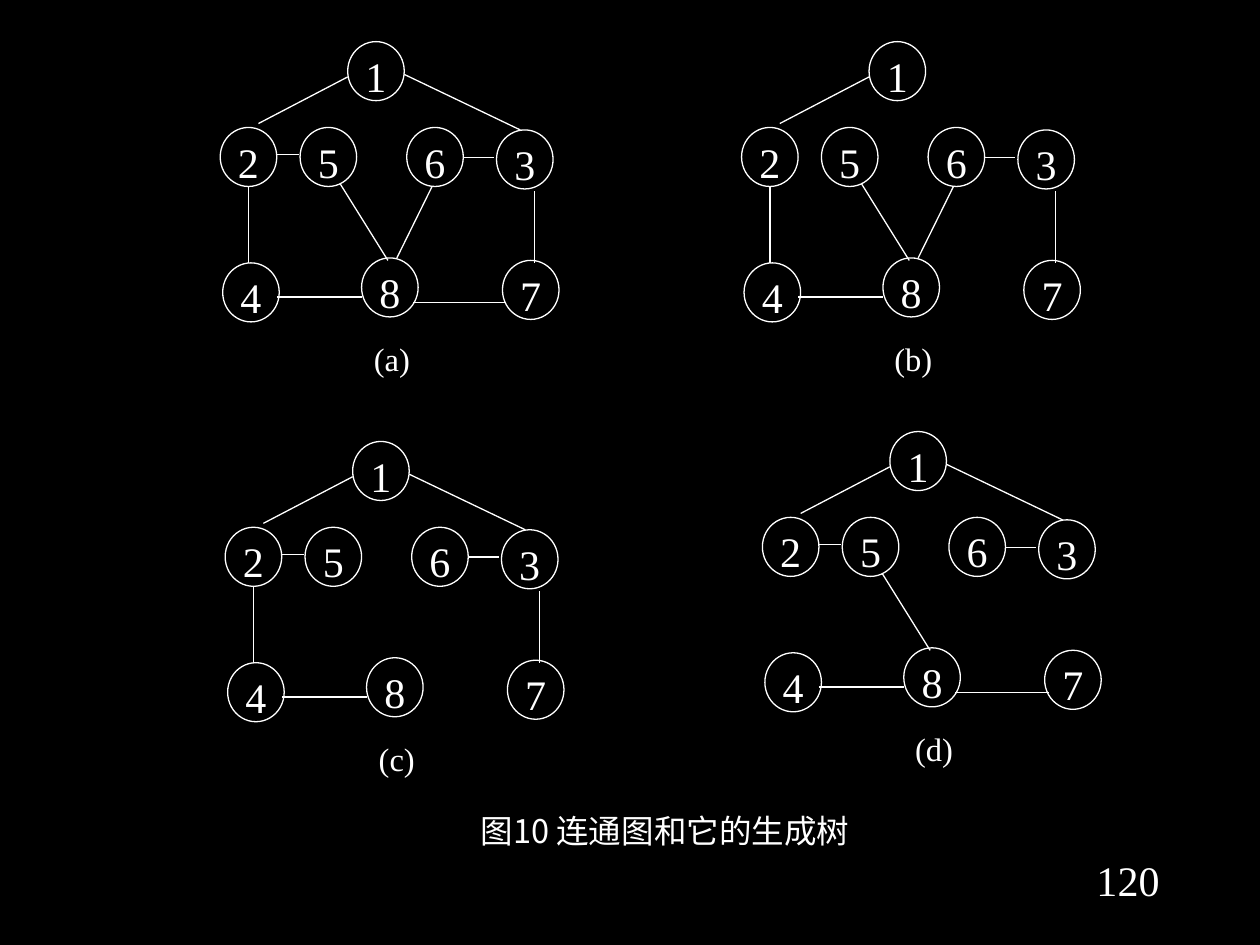
from lxml import etree
from pptx import Presentation
from pptx.dml.color import RGBColor
from pptx.enum.shapes import MSO_CONNECTOR, MSO_SHAPE
from pptx.enum.text import MSO_ANCHOR, PP_ALIGN
from pptx.oxml.ns import qn
from pptx.util import Cm, Pt

OVAL = MSO_SHAPE.OVAL
STRAIGHT = MSO_CONNECTOR.STRAIGHT
TOP = MSO_ANCHOR.TOP
CENTER = PP_ALIGN.CENTER

BLACK = "000000"
WHITE = "FFFFFF"
SERIF = "Times New Roman"
SANS = "Noto Sans CJK SC"

NODE_W, NODE_H = 1.14, 1.19
NODES = {
    1: (7.01, 0.84),
    2: (4.44, 2.57),
    5: (6.05, 2.57),
    6: (8.2, 2.57),
    3: (10.01, 2.62),
    4: (4.49, 5.3),
    8: (7.29, 5.2),
    7: (10.13, 5.25),
}
EDGES = {
    (1, 2): (7.01, 1.55, 5.21, 2.49),
    (1, 3): (8.15, 1.5, 10.49, 2.62),
    (2, 5): (5.58, 3.12, 6.02, 3.12),
    (3, 6): (9.34, 3.17, 9.96, 3.17),
    (5, 8): (6.86, 3.71, 7.82, 5.25),
    (6, 8): (8.71, 3.76, 8, 5.2),
    (2, 4): (5.01, 3.76, 5.01, 5.3),
    (4, 8): (5.58, 5.99, 7.29, 5.99),
    (7, 8): (8.33, 6.1, 10.21, 6.1),
    (3, 7): (10.77, 3.86, 10.77, 5.3),
}
GRAPHS = [
    ("(a)", 0, 0, list(EDGES)),
    ("(b)", 10.51, 0, [(1, 2), (3, 6), (5, 8), (6, 8), (2, 4), (4, 8), (3, 7)]),
    ("(c)", 0.1, 8.06, [(1, 2), (1, 3), (2, 5), (3, 6), (2, 4), (4, 8), (3, 7)]),
    ("(d)", 10.93, 7.86, [(1, 2), (1, 3), (2, 5), (3, 6), (5, 8), (4, 8), (7, 8)]),
]


def color(value):
    return RGBColor.from_string(value)


def write(shape, text, size, font=SERIF, spacing=None, margins=(0, 0)):
    tf = shape.text_frame
    tf.word_wrap = True
    tf.vertical_anchor = TOP
    tf.margin_left = tf.margin_right = Cm(margins[0])
    tf.margin_top = tf.margin_bottom = Cm(margins[1])
    p = tf.paragraphs[0]
    p.text = text
    p.alignment = CENTER
    if spacing:
        p.line_spacing = spacing
    p.font.size = Pt(size)
    p.font.name = font
    p.font.color.rgb = color(WHITE)
    latin = p._p.pPr.find(qn("a:defRPr")).find(qn("a:latin"))
    east_asian = etree.Element(qn("a:ea"), typeface=font)
    latin.addnext(east_asian)


def add_text(s, x, y, w, h, text, size, **style):
    box = s.shapes.add_textbox(Cm(x), Cm(y), Cm(w), Cm(h))
    write(box, text, size, **style)


def add_node(s, x, y, number):
    node = s.shapes.add_shape(OVAL, Cm(x), Cm(y), Cm(NODE_W), Cm(NODE_H))
    node.shadow.inherit = False
    node.fill.background()
    node.line.color.rgb = color(WHITE)
    node.line.width = Pt(0.75)
    write(node, str(number), 24)


def add_edge(s, x1, y1, x2, y2):
    edge = s.shapes.add_connector(STRAIGHT, Cm(x1), Cm(y1), Cm(x2), Cm(y2))
    edge.line.color.rgb = color(WHITE)
    edge.line.width = Pt(0.75)
    etree.SubElement(edge._element.spPr, qn("a:effectLst"))


def add_graph(s, label, dx, dy, edges):
    for number, (x, y) in NODES.items():
        add_node(s, x + dx, y + dy, number)
    for pair in edges:
        x1, y1, x2, y2 = EDGES[pair]
        add_edge(s, x1 + dx, y1 + dy, x2 + dx, y2 + dy)
    add_text(s, 7 + dx, 6.98 + dy, 1.8, 0.84, label, 18.6, spacing=0.8)


def main():
    prs = Presentation()
    prs.slide_width, prs.slide_height = Cm(25.4), Cm(19.05)
    s = prs.slides.add_slide(prs.slide_layouts[6])
    s.background.fill.solid()
    s.background.fill.fore_color.rgb = color(BLACK)
    for graph in GRAPHS:
        add_graph(s, *graph)
    add_text(s, 7.87, 16.51, 11.07, 0.84, "图10 连通图和它的生成树", 18.6,
             font=SANS, spacing=0.8)
    add_text(s, 21.79, 17.09, 1.9, 1.27, "120", 24, margins=(0.25, 0.13))
    prs.save("out.pptx")


if __name__ == "__main__":
    main()
